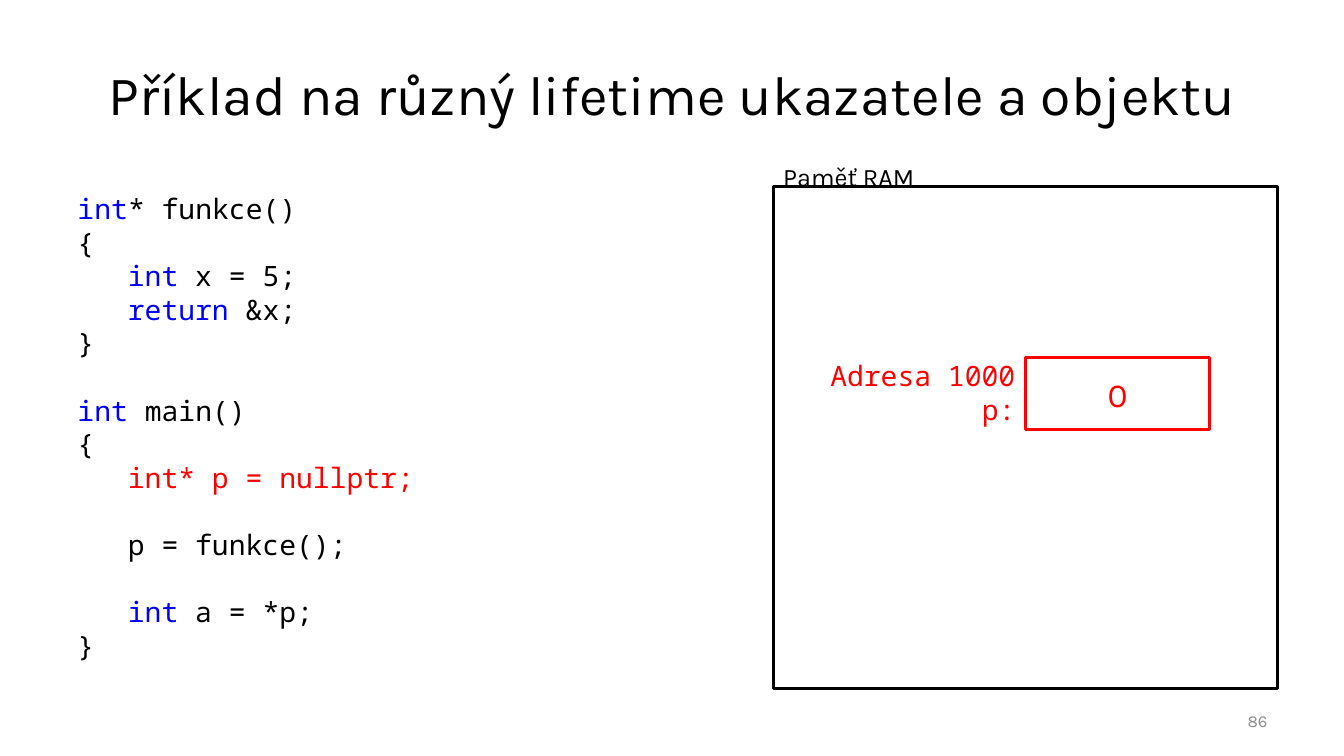
"""Build a slide on the differing lifetimes of a pointer and its object."""
from dataclasses import dataclass

from pptx import Presentation
from pptx import util as u
from pptx.dml.color import RGBColor
from pptx.enum import shapes, text
from pptx.shapes.autoshape import Shape
from pptx.slide import Slide


@dataclass(frozen=True)
class Theme:
    """Colours, fonts and type sizes of the slide."""
    black: str = "000000"
    white: str = "FFFFFF"
    red: str = "FF0000"
    blue: str = "0000FF"
    grey: str = "8C8C8C"
    prose: str = "Karla"
    mono: str = "Noto Sans Mono"
    title_size: float = 39.6
    value_size: float = 24
    code_size: float = 20
    caption_size: float = 18
    number_size: float = 12
    line_width: float = 2
    code_gap: float = 24


THEME = Theme()


@dataclass(frozen=True)
class Box:
    """Position and size in inches."""
    left: float
    top: float
    width: float
    height: float

    def lengths(self) -> tuple[u.Length, ...]:
        """Return left, top, width and height as lengths."""
        return tuple(u.Inches(v) for v in (self.left, self.top, self.width, self.height))


@dataclass(frozen=True)
class Line:
    """One line: an optional keyword, the rest, its level and the gap above."""
    rest: str
    keyword: str = ""
    level: int = 0
    gap: float = 0
    color: str = THEME.black


CODE = (
    Line("* funkce()", "int"),
    Line("{"),
    Line(" x = 5;", "int", level=1),
    Line(" &x;", "return", level=1),
    Line("}"),
    Line(" main()", "int", gap=THEME.code_gap),
    Line("{"),
    Line("int* p = nullptr;", level=1, color=THEME.red),
    Line("p = funkce();", level=1, gap=THEME.code_gap),
    Line(" a = *p;", "int", level=1, gap=THEME.code_gap),
    Line("}"),
)


def write_text(shape: Shape, *lines: Line, size: float, font: str = THEME.prose,
               align: text.PP_ALIGN = text.PP_ALIGN.LEFT,
               anchor: text.MSO_ANCHOR = text.MSO_ANCHOR.TOP) -> None:
    """Write formatted lines into a shape."""
    frame = shape.text_frame
    frame.word_wrap = True
    frame.auto_size = text.MSO_AUTO_SIZE.NONE
    frame.vertical_anchor = anchor
    for index, line in enumerate(lines):
        paragraph = frame.add_paragraph() if index else frame.paragraphs[0]
        paragraph.alignment = align
        paragraph.space_before = u.Pt(line.gap)
        if line.level:
            paragraph.level = line.level
            properties = paragraph._p.get_or_add_pPr()
            properties.set("marL", str(u.Inches(0.5 * line.level)))
            properties.set("indent", "0")
        for words, color in ((line.keyword, THEME.blue), (line.rest, line.color)):
            if words:
                run = paragraph.add_run()
                run.text = words
                run.font.name = font
                run.font.size = u.Pt(size)
                run.font.color.rgb = RGBColor.from_string(color)


def add_text(slide: Slide, box: Box, *lines: Line, **style) -> None:
    """Add a text box with formatted lines."""
    write_text(slide.shapes.add_textbox(*box.lengths()), *lines, **style)


def add_frame(slide: Slide, box: Box, color: str) -> Shape:
    """Add a white rectangle with a coloured outline."""
    frame = slide.shapes.add_shape(shapes.MSO_SHAPE.RECTANGLE, *box.lengths())
    frame.shadow.inherit = False
    frame.fill.solid()
    frame.fill.fore_color.rgb = RGBColor.from_string(THEME.white)
    frame.line.color.rgb = RGBColor.from_string(color)
    frame.line.width = u.Pt(THEME.line_width)
    return frame


def main() -> None:
    """Build and save the presentation."""
    presentation = Presentation()
    presentation.slide_width = u.Inches(13.33)
    presentation.slide_height = u.Inches(7.5)
    slide = presentation.slides.add_slide(presentation.slide_layouts[5])
    middle, center, right = text.MSO_ANCHOR.MIDDLE, text.PP_ALIGN.CENTER, text.PP_ALIGN.RIGHT

    title = slide.shapes.title
    title.left, title.top, title.width, title.height = Box(0.67, 0.3, 12, 1.25).lengths()
    write_text(title, Line("Příklad na různý lifetime ukazatele a objektu"),
               size=THEME.title_size, align=center, anchor=middle)
    add_text(slide, Box(9.56, 6.95, 3.11, 0.4), Line("86", color=THEME.grey),
             size=THEME.number_size, align=right, anchor=middle)

    add_frame(slide, Box(7.67, 1.85, 5, 4.98), THEME.black)
    add_text(slide, Box(7.67, 1.55, 1.86, 0.4), Line("Paměť RAM"), size=THEME.caption_size)
    pointer = add_frame(slide, Box(10.17, 3.55, 1.83, 0.71), THEME.red)
    write_text(pointer, Line("0", color=THEME.red),
               size=THEME.value_size, align=center, anchor=middle)
    add_text(slide, Box(8.09, 3.51, 2.08, 0.77), Line("Adresa 1000", color=THEME.red),
             Line("p:", level=1, color=THEME.red),
             size=THEME.code_size, font=THEME.mono, align=right, anchor=middle)

    add_text(slide, Box(0.67, 1.85, 3.98, 4.81), *CODE, size=THEME.code_size, font=THEME.mono)
    presentation.save("out.pptx")


if __name__ == "__main__":
    main()
